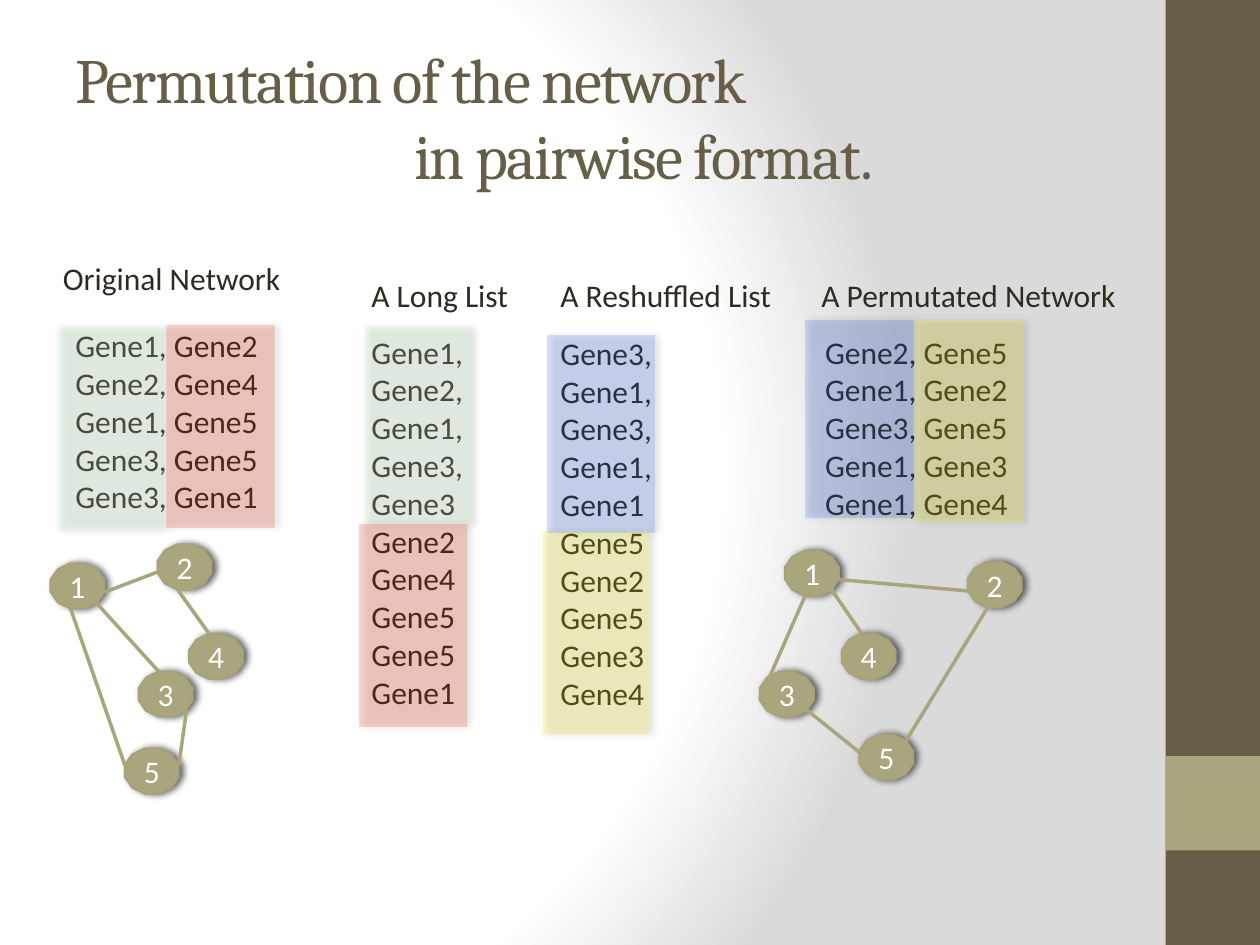
from lxml.etree import SubElement
from pptx import Presentation
from pptx.dml.color import RGBColor
from pptx.enum.shapes import MSO_CONNECTOR, MSO_SHAPE
from pptx.enum.text import MSO_ANCHOR, PP_ALIGN
from pptx.oxml import parse_xml
from pptx.oxml.ns import nsdecls, qn
from pptx.util import Inches, Pt

COLORS = {
    "brown": "675E47", "olive": "A9A57C", "outline": "A6A278",
    "ink": "2F2B20", "white": "FFFFFF", "gray": "DADADA", "shadow": "000000",
    "green": "CCFFCC", "red": "FF2705", "blue": "3366FF", "yellow": "FFFF00",
}
COLS, ROWS = 100, 75
NODE_W, NODE_H = 4.3, 3.6
BAND_W = 8.6


class Deck:
    """Slide style; all positions are columns and rows of a 100 x 75 grid."""

    def __init__(self):
        self.prs = Presentation()
        self.prs.slide_width, self.prs.slide_height = Inches(10), Inches(7.5)
        self.s = self.prs.slides.add_slide(self.prs.slide_layouts[6])

    def grid(self, *cells):
        """Turn alternating columns and rows into lengths."""
        units = self.prs.slide_width / COLS, self.prs.slide_height / ROWS
        return [round(c * units[i % 2]) for i, c in enumerate(cells)]

    def rgb(self, name):
        return RGBColor.from_string(COLORS[name])

    def background(self):
        stops = "".join(
            f'<a:gs pos="{pos}000"><a:srgbClr val="{COLORS[c]}"/></a:gs>'
            for pos, c in ((0, "white"), (75, "white"), (100, "gray")))
        bg = parse_xml(
            f'<p:bg {nsdecls("p", "a")}><p:bgPr><a:gradFill rotWithShape="1">'
            f'<a:gsLst>{stops}</a:gsLst><a:path path="circle"><a:fillToRect '
            'l="20000" t="50000" r="100000" b="50000"/></a:path></a:gradFill>'
            '<a:effectLst/></p:bgPr></p:bg>')
        self.s.element.cSld.insert(0, bg)

    def run(self, p, text, color, size=18, font="Calibri"):
        r = p.add_run()
        r.text = text
        r.font.size, r.font.name = Pt(size), font
        r.font.color.rgb = self.rgb(color)
        return r

    def shape(self, kind, box, fill):
        sp = self.s.shapes.add_shape(kind, *self.grid(*box))
        sp.shadow.inherit = False
        sp.fill.solid()
        sp.fill.fore_color.rgb = self.rgb(fill)
        sp.line.fill.background()
        return sp

    def cast_shadow(self, sp):
        effects = sp.element.spPr.find(qn("a:effectLst"))
        shadow = SubElement(effects, qn("a:outerShdw"), blurRad=str(Pt(4)),
                            dist=str(Pt(2)), dir="0", rotWithShape="0")
        color = SubElement(shadow, qn("a:srgbClr"), val=COLORS["shadow"])
        SubElement(color, qn("a:alpha"), val="60000")

    def text(self, box, lines, wrap=True):
        tf = self.s.shapes.add_textbox(*self.grid(*box)).text_frame
        tf.word_wrap = wrap
        for i, line in enumerate(lines):
            p = tf.paragraphs[0] if i == 0 else tf.add_paragraph()
            self.run(p, line, "ink")

    def title(self, box, lines, indent):
        tf = self.s.shapes.add_textbox(*self.grid(*box)).text_frame
        tf.word_wrap = True
        tf.vertical_anchor = MSO_ANCHOR.MIDDLE
        for i, line in enumerate(lines):
            p = tf.paragraphs[0] if i == 0 else tf.add_paragraph()
            p._p.get_or_add_pPr().set("marL", str(self.grid(indent * i)[0]))
            r = self.run(p, line, "brown", 36, "Cambria")
            r.font._element.set("spc", "-100")

    def node(self, x, y, label):
        sp = self.shape(MSO_SHAPE.DODECAGON, (x, y, NODE_W, NODE_H), "olive")
        sp.line.color.rgb, sp.line.width = self.rgb("outline"), Pt(1)
        self.cast_shadow(sp)
        tf = sp.text_frame
        tf.margin_left = tf.margin_right = tf.margin_top = tf.margin_bottom = 0
        tf.vertical_anchor = MSO_ANCHOR.MIDDLE
        tf.paragraphs[0].alignment = PP_ALIGN.CENTER
        self.run(tf.paragraphs[0], label, "white")

    def edge(self, *ends):
        line = self.s.shapes.add_connector(MSO_CONNECTOR.STRAIGHT, *self.grid(*ends))
        line.line.color.rgb, line.line.width = self.rgb("olive"), Pt(2)
        SubElement(line._element.spPr, qn("a:effectLst"))

    def network(self, nodes, edges):
        for label, (x, y) in enumerate(nodes, 1):
            self.node(x, y, str(label))
        for ends in edges:
            self.edge(*ends)

    def highlight(self, x, y, height, color):
        """Lay a see-through band over a column of genes."""
        sp = self.shape(MSO_SHAPE.RECTANGLE, (x, y, BAND_W, height), color)
        fill = sp.element.spPr.find(qn("a:solidFill"))
        SubElement(fill[0], qn("a:alpha"), val="18000")
        self.cast_shadow(sp)


def genes(digits):
    return [f"Gene{d}" for d in digits]


def pairs(first, second):
    return [f"{a}, {b}" for a, b in zip(genes(first), genes(second))]


def stacked(first, second):
    """One list: the first column, comma separated, above the second."""
    top = genes(first)
    return [f"{g}," for g in top[:-1]] + top[-1:] + genes(second)


def main():
    original = "12133", "24551"
    permuted = "21311", "52534"
    reshuffled = "31311", "52534"

    deck = Deck()
    deck.background()
    deck.shape(MSO_SHAPE.RECTANGLE, (92.5, 0, 7.5, ROWS), "brown")
    deck.shape(MSO_SHAPE.RECTANGLE, (92.5, 60, 7.5, 7.5), "olive")
    deck.title((5, 3, 83.3, 12.5),
               ("Permutation of the network", "in pairwise format."), 26.9)

    for x, y, width, heading in (
            (4, 20.1, 19.5, "Original Network"),
            (28.5, 21.4, 13, "A Long List"),
            (43.5, 21.4, 19, "A Reshuffled List"),
            (64.2, 21.4, 25.8, "A Permutated Network")):
        deck.text((x, y, width, 4), [heading], wrap=False)

    deck.text((5, 25.4, 16.6, 16.2), pairs(*original), wrap=False)
    deck.text((28.5, 25.9, 9.7, 31.3), stacked(*original))
    deck.text((43.5, 26, 9.7, 31.3), stacked(*reshuffled))
    deck.text((64.5, 25.9, 20.4, 16.2), pairs(*permuted))

    deck.network(
        [(4, 44.7), (12.5, 43.2), (11, 53.3), (15, 50.3), (9.9, 59.4)],
        [(8.3, 47, 12.5, 45.4), (14.1, 46.8, 16.6, 50.3),
         (5.6, 48.3, 9.9, 60.7), (14.2, 60.7, 14.8, 56.4),
         (7.7, 47.9, 12.6, 53.3)])
    deck.network(
        [(62.3, 43.7), (76.8, 44.6), (60.3, 53.3), (66.8, 50.3), (68.2, 58.3)],
        [(66.6, 46, 76.8, 46.9), (66, 46.8, 68.4, 50.3),
         (64.1, 56.4, 68.2, 59.7), (63.9, 47.3, 60.3, 55.5),
         (71.9, 58.8, 78.4, 48.2)])

    for band in (
            (4.5, 26, 16.1, "green"), (28.9, 26, 15.7, "green"),
            (13.2, 25.8, 16.1, "red"), (28.5, 41.6, 16.1, "red"),
            (43.4, 26.6, 15.7, "blue"), (43, 42.2, 16.1, "yellow"),
            (63.9, 25.4, 15.7, "blue"), (72.6, 25.4, 16.1, "yellow")):
        deck.highlight(*band)

    deck.prs.save("out.pptx")


if __name__ == "__main__":
    main()
